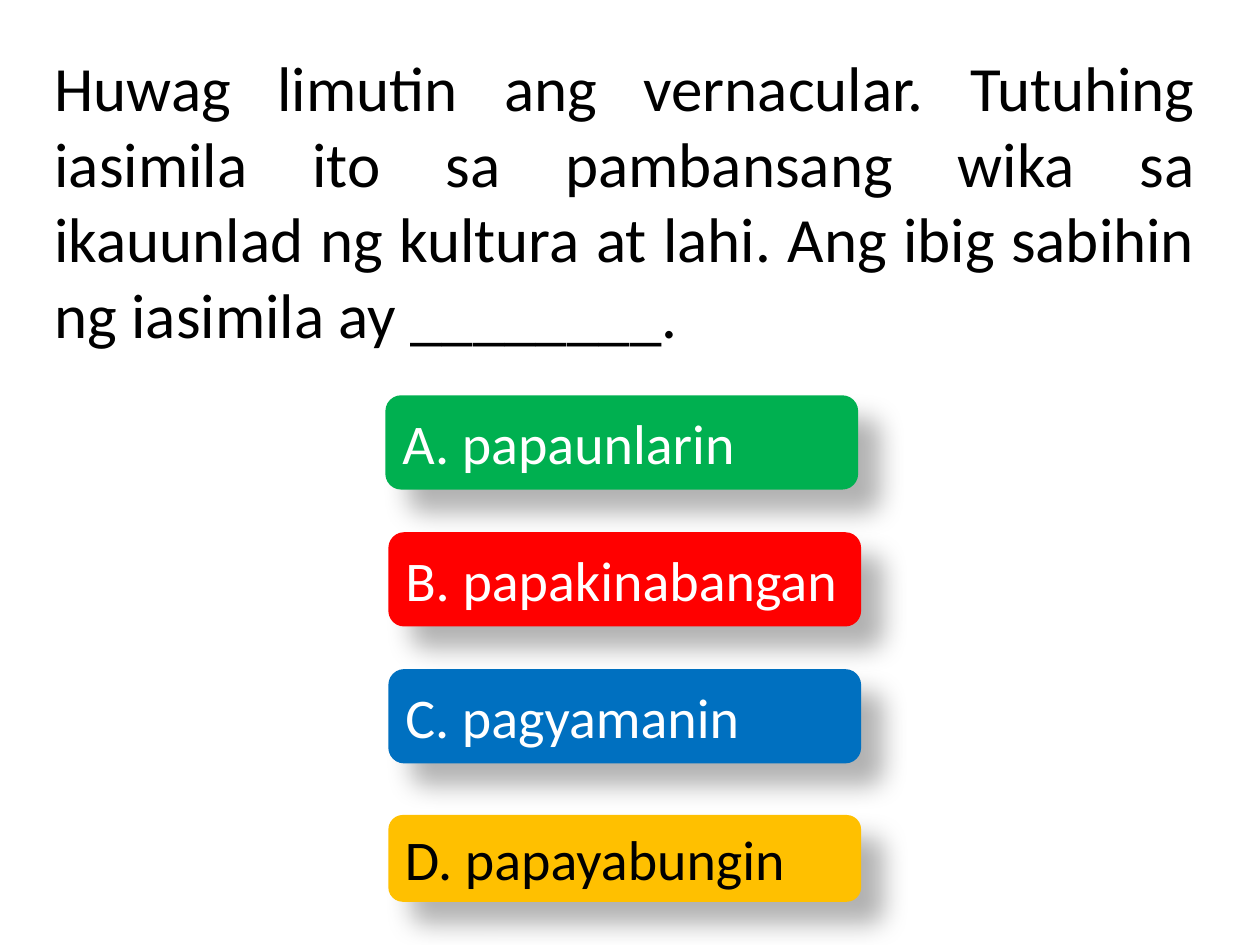
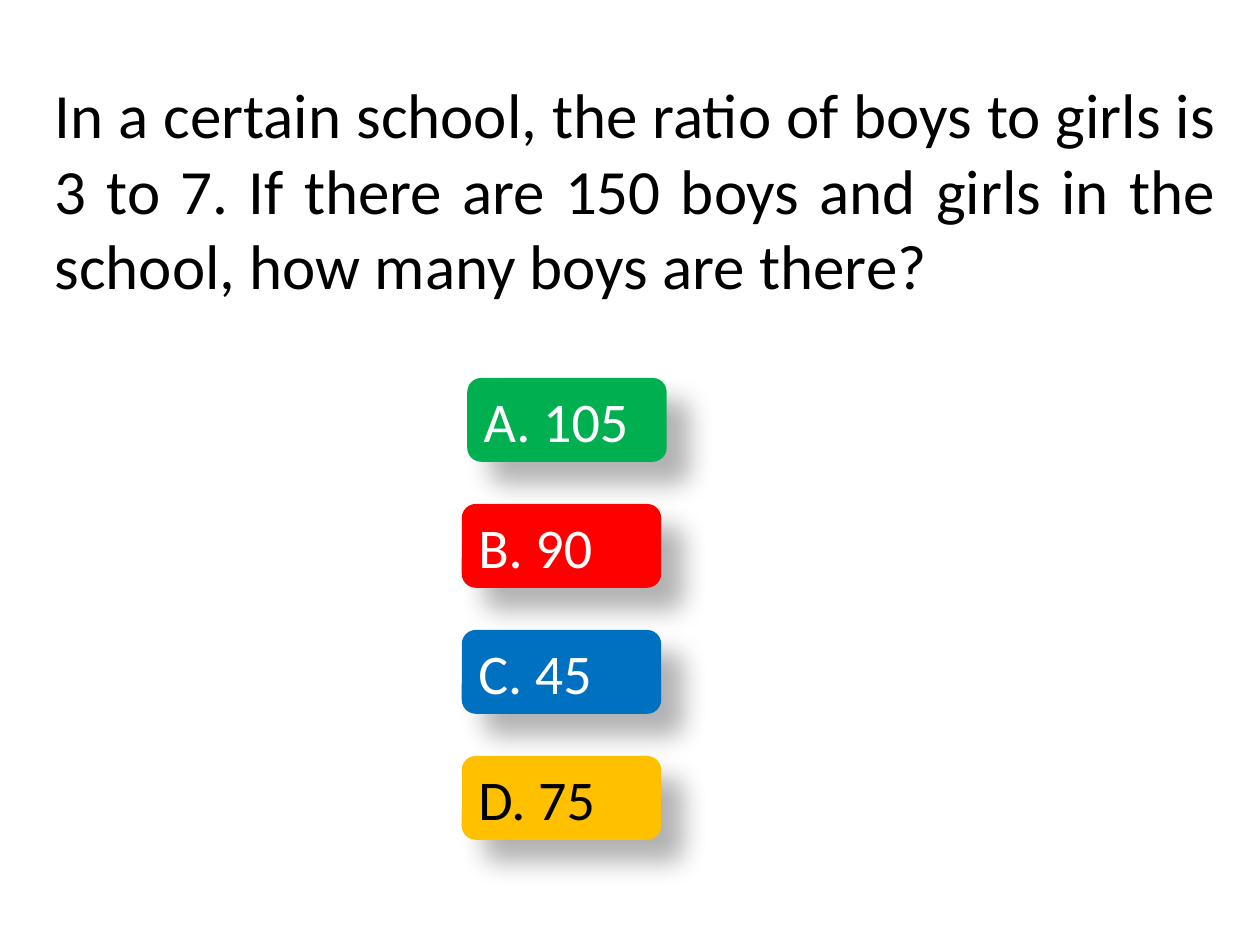
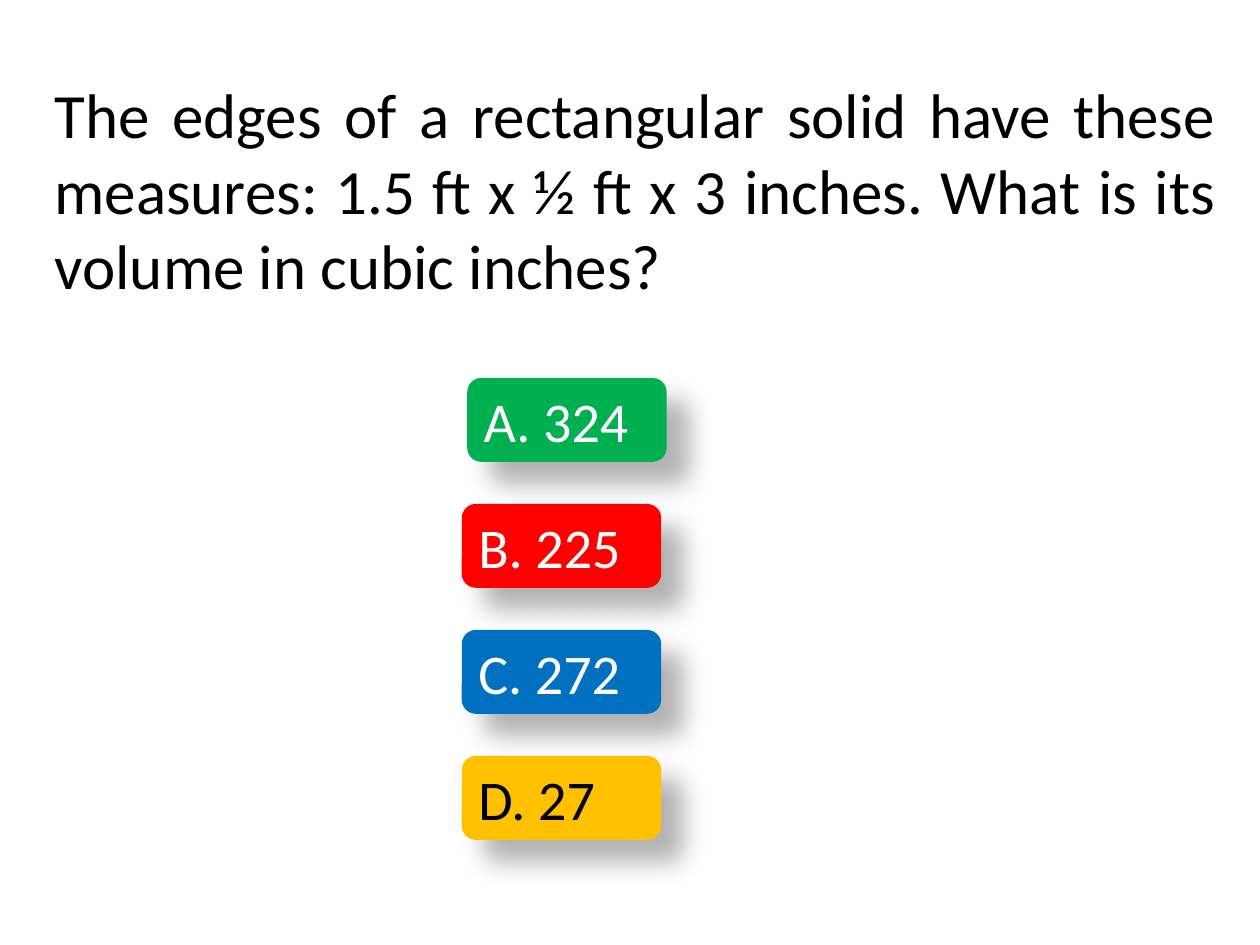
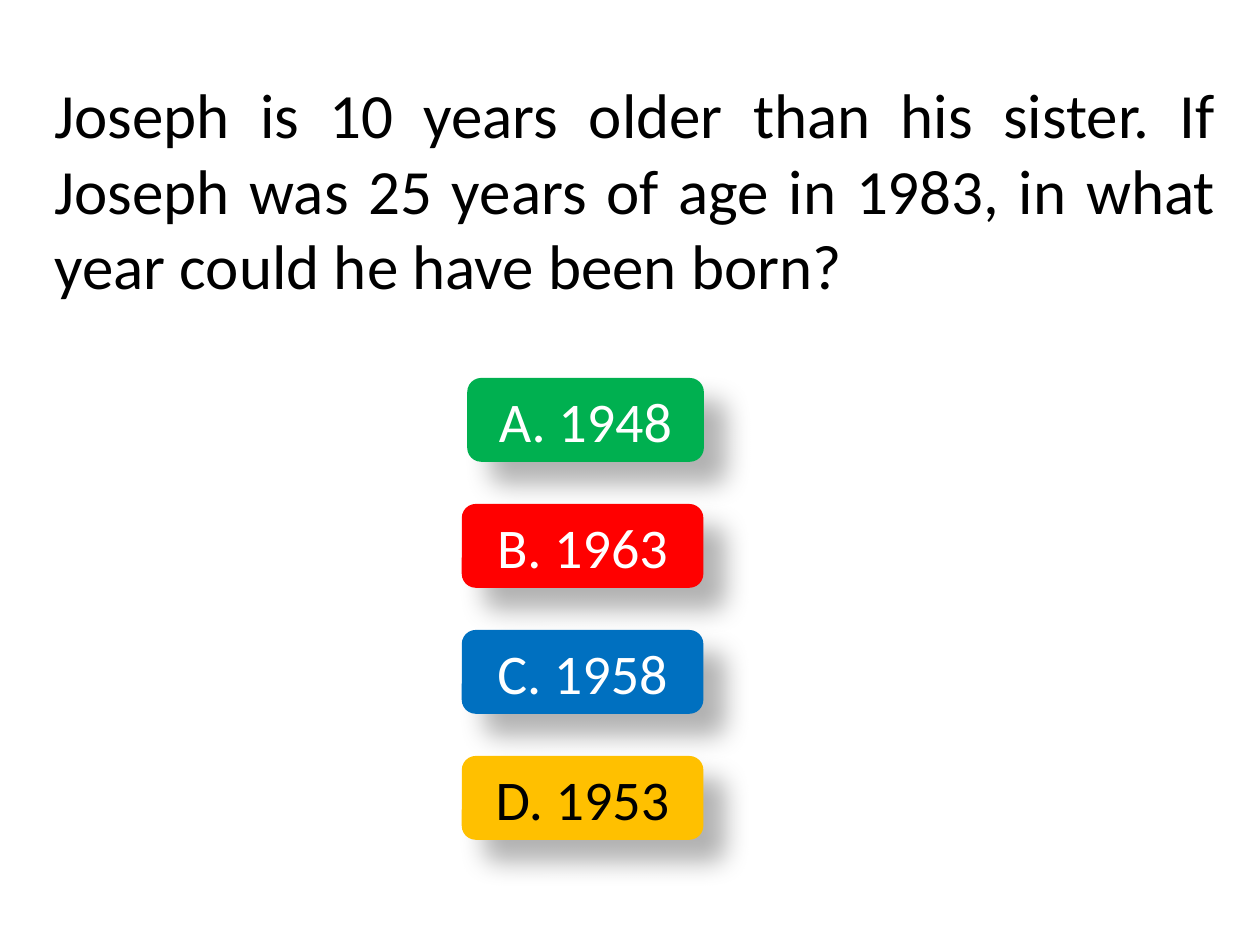
"""Build four multiple-choice quiz slides with coloured answer buttons."""
import lxml.etree
import pptx
import pptx.dml.color
import pptx.enum.shapes
import pptx.enum.text
import pptx.oxml.ns
import pptx.util

Cm = pptx.util.Cm
Pt = pptx.util.Pt
ALIGN = pptx.enum.text.PP_ALIGN
FONT = "Calibri"
BLACK, WHITE = "000000", "FFFFFF"
CHOICE_STYLES = [("A", "00B050", WHITE), ("B", "FF0000", WHITE),
                 ("C", "0070C0", WHITE), ("D", "FFC000", BLACK)]

QUESTION_BOX = (0.85, 1.06, 23.92, 5.5)
NUMBER_STACK = (9.31, 7.62, 4.02, 9.31)
NUMBER_HEIGHT = 1.69
NUMBER_NUDGES = {"A": (0.11, 0, 0, 0)}

QUIZ = [
    dict(
        question="Huwag limutin ang vernacular. Tutuhing iasimila ito sa "
                 "pambansang wika sa ikauunlad ng kultura at lahi. Ang ibig "
                 "sabihin ng iasimila ay ________.",
        answers=["papaunlarin", "papakinabangan", "pagyamanin", "papayabungin"],
        question_box=(0.85, 1.06, 23.5, 5.93),
        stack_box=(7.83, 7.97, 9.53, 10.18),
        choice_height=1.9,
        nudges={"A": (-0.06, 0, 0, 0), "D": (0, 0.18, 0, -0.15)},
    ),
    dict(
        question="In a certain school, the ratio of boys to girls is 3 to 7. "
                 "If there are 150 boys and girls in the school, how many boys "
                 "are there?",
        answers=["105", "90", "45", "75"],
    ),
    dict(
        question="The edges of a rectangular solid have these measures: 1.5 ft "
                 "x ½ ft x 3 inches. What is its volume in cubic inches?",
        answers=["324", "225", "272", "27"],
    ),
    dict(
        question="Joseph is 10 years older than his sister. If Joseph was 25 "
                 "years of age in 1983, in what year could he have been born?",
        answers=["1948", "1963", "1958", "1953"],
        stack_box=(9.31, 7.62, 4.87, 9.31),
        nudges={"A": (0.11, 0, -0.1, 0)},
        align=ALIGN.CENTER,
    ),
]


def rgb(value):
    return pptx.dml.color.RGBColor.from_string(value)


def write(shape, text, size, color, align):
    frame = shape.text_frame
    frame.word_wrap = True
    frame.vertical_anchor = pptx.enum.text.MSO_ANCHOR.MIDDLE
    paragraph = frame.paragraphs[0]
    paragraph.alignment = align
    run = paragraph.add_run()
    run.text = text
    run.font.name = FONT
    run.font.size = Pt(size)
    run.font.color.rgb = rgb(color)


def cast_shadow(shape):
    qn = pptx.oxml.ns.qn
    shape.shadow.inherit = False
    effects = shape.element.spPr.find(qn("a:effectLst"))
    shadow = lxml.etree.SubElement(
        effects, qn("a:outerShdw"), blurRad=str(Pt(15)), dist=str(Pt(18)),
        dir=str(45 * 60000), algn="tl", rotWithShape="0")
    tint = lxml.etree.SubElement(shadow, qn("a:srgbClr"), val=BLACK)
    lxml.etree.SubElement(tint, qn("a:alpha"), val="30000")


def add_question(slide, box, question):
    prompt = slide.shapes.add_textbox(*map(Cm, box))
    write(prompt, question, 36, BLACK, ALIGN.JUSTIFY)


def add_choice(slide, box, label, fill, ink, align):
    button = slide.shapes.add_shape(
        pptx.enum.shapes.MSO_SHAPE.ROUNDED_RECTANGLE, *map(Cm, box))
    button.fill.solid()
    button.fill.fore_color.rgb = rgb(fill)
    button.line.fill.background()
    cast_shadow(button)
    write(button, label, 32, ink, align)


def add_choices(slide, box, answers, height, nudges, align):
    left, top, width, total = box
    pitch = (total - height) / (len(answers) - 1)
    for row, (answer, style) in enumerate(zip(answers, CHOICE_STYLES)):
        letter, fill, ink = style
        place = (left, top + row * pitch, width, height)
        nudge = nudges.get(letter, (0, 0, 0, 0))
        choice_box = [length + shift for length, shift in zip(place, nudge)]
        add_choice(slide, choice_box, f"{letter}. {answer}", fill, ink, align)


def add_quiz_slide(deck, question, answers, question_box=QUESTION_BOX,
                   stack_box=NUMBER_STACK, choice_height=NUMBER_HEIGHT,
                   nudges=NUMBER_NUDGES, align=ALIGN.JUSTIFY):
    slide = deck.slides.add_slide(deck.slide_layouts[6])
    add_question(slide, question_box, question)
    add_choices(slide, stack_box, answers, choice_height, nudges, align)


def main():
    deck = pptx.Presentation()
    deck.slide_width, deck.slide_height = Cm(25.4), Cm(19.05)
    for item in QUIZ:
        add_quiz_slide(deck, **item)
    deck.save("out.pptx")


if __name__ == "__main__":
    main()
